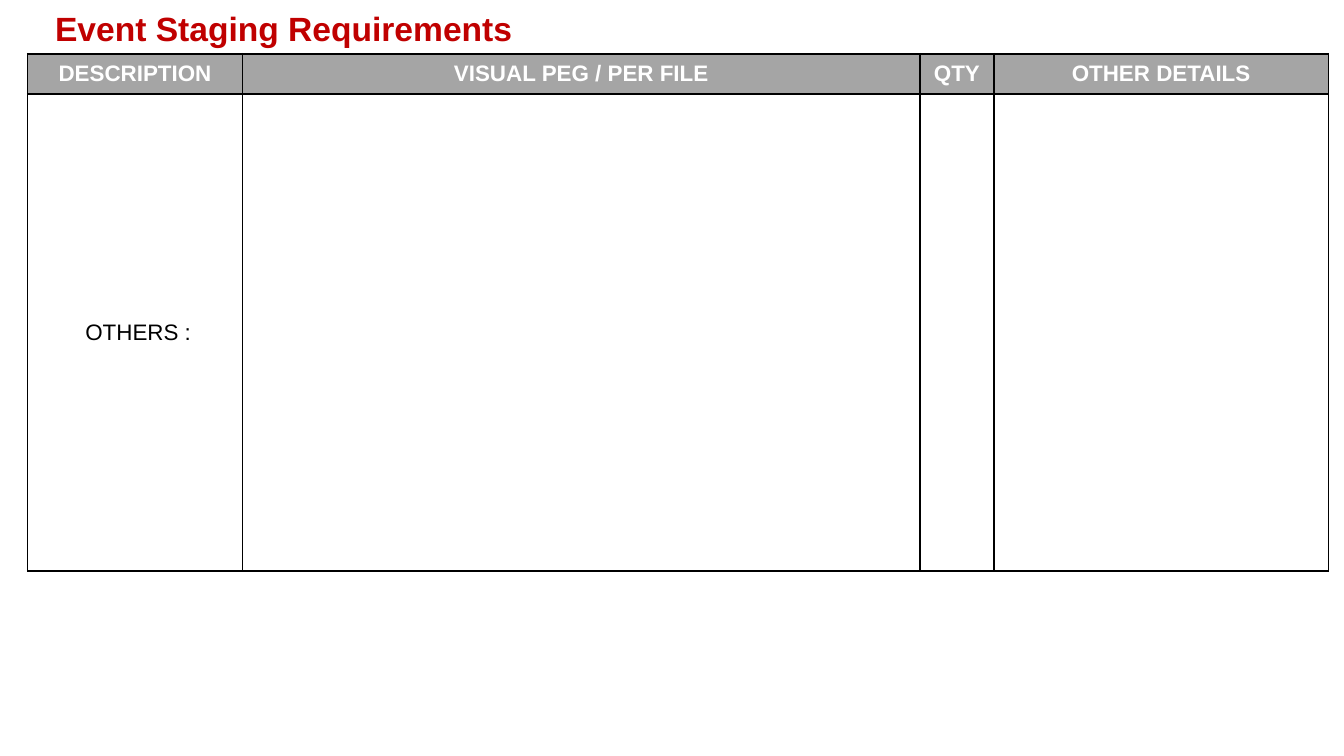
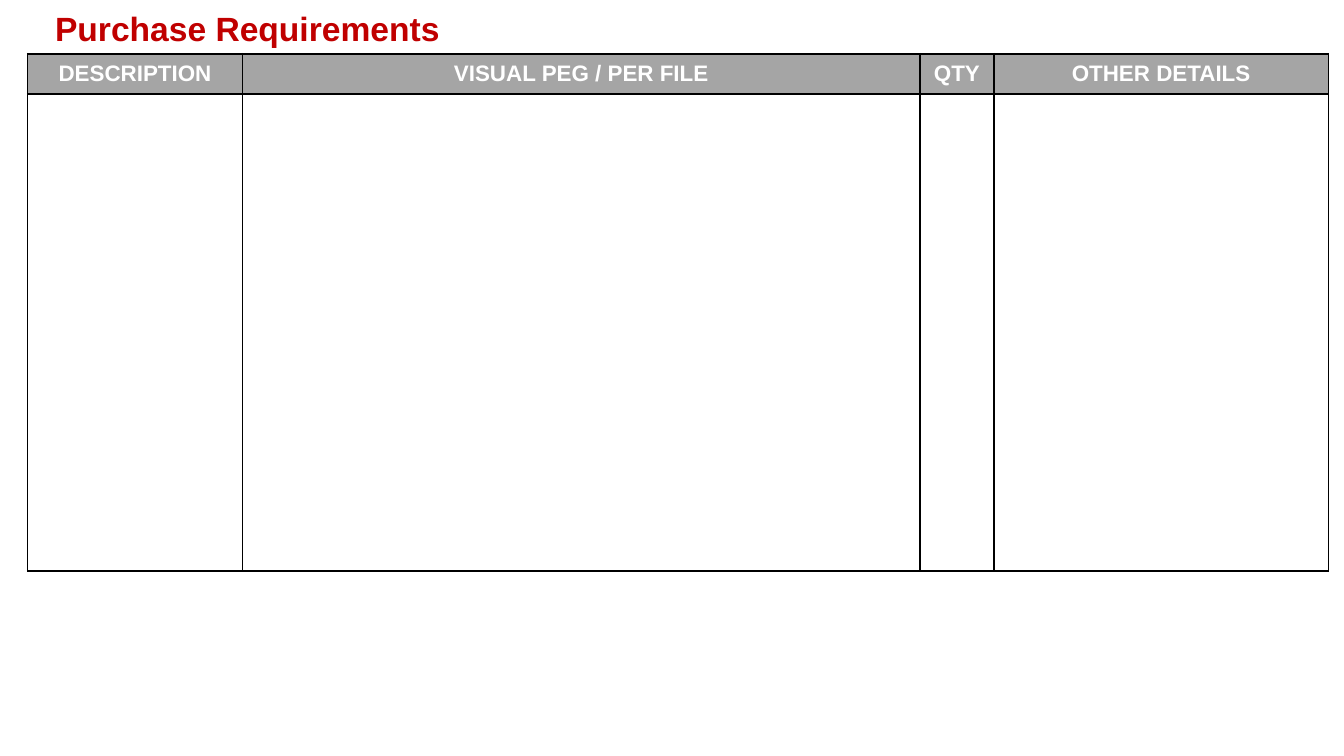
from dataclasses import dataclass

from lxml.etree import SubElement
from pptx import Presentation
from pptx.dml.color import RGBColor
from pptx.enum.text import MSO_ANCHOR, MSO_AUTO_SIZE, PP_ALIGN
from pptx.oxml.ns import qn
from pptx.util import Emu, Pt


@dataclass(frozen=True)
class Theme:
    """Colours, font and type sizes of the deck."""
    font: str = "Arial"
    red: str = "C00000"
    gray: str = "A5A5A5"
    black: str = "000000"
    white: str = "FFFFFF"
    head: int = 18
    body: int = 12
    rule: int = 1


THEME = Theme()
SCALE = 4572
SIZE = (2000, 1125)
TITLE = (62, 2, 978, 80)
GRID = (41, 80, 1936, 770)
COLS = (320, 1008, 110, 498)
ROWS = (60, 710)
HEADS = ("DESCRIPTION", "VISUAL PEG / PER FILE", "QTY", "OTHER DETAILS")
SLIDES = (
    ("Event Staging Requirements", (" OTHERS :", "", "", "")),
    ("Purchase Requirements", ("", "", "", "")),
)


def px(num):
    """Turn px into EMU."""
    return Emu(num * SCALE)


def write(frame, text, size=THEME.body, color=THEME.black, bold=False,
          align=PP_ALIGN.CENTER):
    """Put one formatted paragraph into a text frame."""
    para = frame.paragraphs[0]
    para.alignment = align
    run = para.add_run()
    run.text = text
    font = run.font
    font.name, font.size, font.bold = THEME.font, Pt(size), bold
    font.color.rgb = RGBColor.from_string(color)


def border(cell):
    """Rule all four sides of a cell."""
    props = cell._tc.get_or_add_tcPr()
    for side in ("lnL", "lnR", "lnT", "lnB"):
        line = SubElement(props, qn(f"a:{side}"), w=str(Pt(THEME.rule)))
        fill = SubElement(line, qn("a:solidFill"))
        SubElement(fill, qn("a:srgbClr"), val=THEME.black)


def title(slide, box, text):
    """Place and format the slide title."""
    shape = slide.shapes.title
    shape.left, shape.top, shape.width, shape.height = map(px, box)
    frame = shape.text_frame
    frame.word_wrap = True
    frame.auto_size = MSO_AUTO_SIZE.SHAPE_TO_FIT_TEXT
    frame.vertical_anchor = MSO_ANCHOR.TOP
    write(frame, text, size=THEME.head, color=THEME.red, bold=True,
          align=PP_ALIGN.LEFT)


def grid(slide, box, rows):
    """Draw the table with a gray head row."""
    table = slide.shapes.add_table(len(ROWS), len(COLS), *map(px, box)).table
    table.horz_banding = False
    for col, width in zip(table.columns, COLS):
        col.width = px(width)
    for row, high, texts in zip(table.rows, ROWS, rows):
        row.height = px(high)
        head = texts is HEADS
        for cell, text in zip(row.cells, texts):
            border(cell)
            cell.fill.solid()
            cell.fill.fore_color.rgb = RGBColor.from_string(
                THEME.gray if head else THEME.white)
            cell.vertical_anchor = MSO_ANCHOR.MIDDLE
            if text:
                write(cell.text_frame, text, bold=head,
                      color=THEME.white if head else THEME.black)


def main():
    """Build and save the deck."""
    deck = Presentation()
    deck.slide_width, deck.slide_height = map(px, SIZE)
    layout = deck.slide_layouts.get_by_name("Title Only")
    for name, items in SLIDES:
        slide = deck.slides.add_slide(layout)
        grid(slide, GRID, (HEADS, items))
        title(slide, TITLE, name)
    deck.save("out.pptx")


if __name__ == "__main__":
    main()
